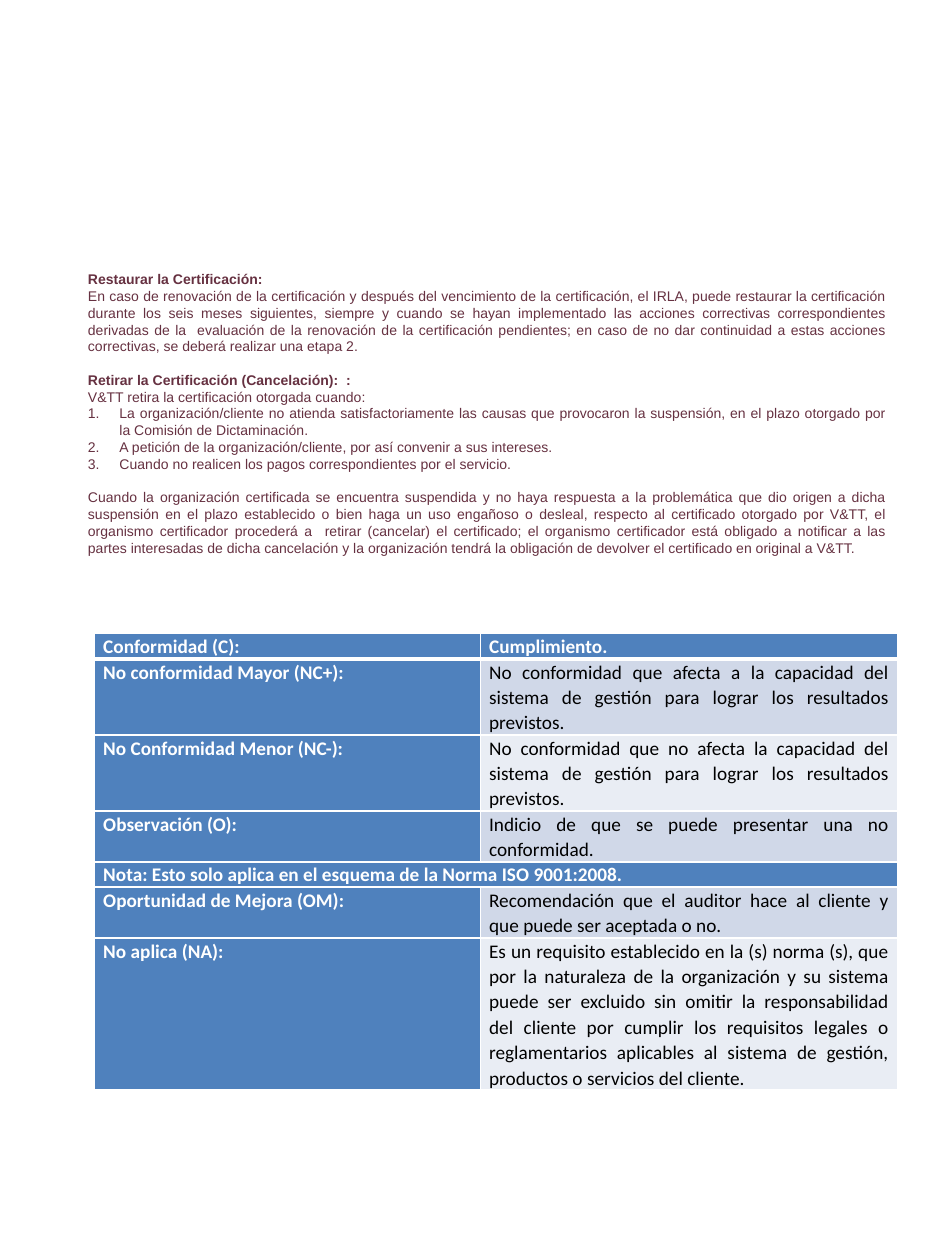
import pptx
import pptx.util
import pptx.dml.color
import pptx.enum.text
import pptx.oxml

Pt = pptx.util.Pt
JUSTIFY = pptx.enum.text.PP_ALIGN.JUSTIFY
NAMESPACE = 'xmlns:a="http://schemas.openxmlformats.org/drawingml/2006/main"'
COLORS = {"wine": "663141", "blue": "4F81BD", "band": "D0D8E8",
          "pale": "E9EDF4", "white": "FFFFFF", "black": "000000"}


def format_font(font, color, **values):
    for name, value in values.items():
        setattr(font, name, value)
    font.color.rgb = pptx.dml.color.RGBColor.from_string(COLORS[color])


def add_border(cell, side, width):
    """Draw a white line on one side (L, R, T or B) of a table cell."""
    cell._tc.get_or_add_tcPr().append(pptx.oxml.parse_xml(
        f'<a:ln{side} {NAMESPACE} w="{Pt(width)}"><a:solidFill>'
        f'<a:srgbClr val="{COLORS["white"]}"/></a:solidFill></a:ln{side}>'))


deck = pptx.Presentation()
deck.slide_width, deck.slide_height = Pt(540), Pt(720)
page = deck.slides.add_slide(deck.slide_layouts[6])

# Certification rules: (kind, starts a new section, text)
rules = [
    ("heading", False, "Restaurar la Certificación:"),
    ("body", False, "En caso de renovación de la certificación y después del vencimiento de la certificación, el IRLA, puede restaurar la certificación durante los seis meses siguientes, siempre y cuando se hayan implementado las acciones correctivas correspondientes derivadas de la  evaluación de la renovación de la certificación pendientes; en caso de no dar continuidad a estas acciones correctivas, se deberá realizar una etapa 2."),
    ("heading", True, "Retirar la Certificación (Cancelación):  :"),
    ("body", False, "V&TT retira la certificación otorgada cuando:"),
    ("item", False, "La organización/cliente no atienda satisfactoriamente las causas que provocaron la suspensión, en el plazo otorgado por la Comisión de Dictaminación."),
    ("item", False, "A petición de la organización/cliente, por así convenir a sus intereses."),
    ("item", False, "Cuando no realicen los pagos correspondientes por el servicio."),
    ("body", True, "Cuando la organización certificada se encuentra suspendida y no haya respuesta a la problemática que dio origen a dicha suspensión en el plazo establecido o bien haga un uso engañoso o desleal, respecto al certificado otorgado por V&TT, el organismo certificador procederá a  retirar (cancelar) el certificado; el organismo certificador está obligado a notificar a las partes interesadas de dicha cancelación y la organización tendrá la obligación de devolver el certificado en original a V&TT."),
]
box = page.shapes.add_textbox(Pt(43.2), Pt(151.2), Pt(470.9), Pt(211))
frame = box.text_frame
frame.word_wrap = True
for index, (kind, new_section, text) in enumerate(rules):
    para = frame.add_paragraph() if index else frame.paragraphs[0]
    para.text = text
    para.alignment = JUSTIFY
    if new_section:
        para.space_before = Pt(9.6)
    if kind == "item":
        properties = para._p.get_or_add_pPr()
        properties.set("marL", str(Pt(18)))
        properties.set("indent", str(Pt(-18)))
        properties.append(pptx.oxml.parse_xml(
            f'<a:buAutoNum {NAMESPACE} type="arabicPeriod"/>'))
    format_font(para.font, "wine", name="Arial", size=Pt(8), bold=kind == "heading")

# Finding types: (lines of text, term, meaning, fill of the meaning)
findings = [
    (1, "Conformidad (C):", "Cumplimiento.", "blue"),
    (3, "No conformidad Mayor (NC+):", "No conformidad que afecta a la capacidad del sistema de gestión para lograr los resultados previstos.", "band"),
    (3, "No Conformidad Menor (NC-):", "No conformidad que no afecta la capacidad del sistema de gestión para lograr los resultados previstos.", "pale"),
    (2, "Observación (O):", "Indicio de que se puede presentar una no conformidad.", "band"),
    (1, "Nota: Esto solo aplica en el esquema de la Norma ISO 9001:2008.", None, "blue"),
    (2, "Oportunidad de Mejora (OM):", "Recomendación que el auditor hace al cliente y que puede ser aceptada o no.", "band"),
    (6, "No aplica (NA):", "Es un requisito establecido en la (s) norma (s), que por la naturaleza de la organización y su sistema puede ser excluido sin omitir la responsabilidad del cliente por cumplir los requisitos legales o reglamentarios aplicables al sistema de gestión, productos o servicios del cliente.", "pale"),
]
line_height = 14.5
table_height = line_height * sum(finding[0] for finding in findings)
table = page.shapes.add_table(
    len(findings), 2, Pt(54), Pt(362), Pt(459), Pt(table_height)).table
table.columns[0].width, table.columns[1].width = Pt(220.5), Pt(238.5)
cell_format = {"margin_left": Pt(5), "margin_right": Pt(5),
               "margin_top": Pt(0), "margin_bottom": Pt(0)}
for row, (lines, term, meaning, meaning_fill) in enumerate(findings):
    table.rows[row].height = Pt(line_height * lines)
    if meaning is None:
        table.cell(row, 0).merge(table.cell(row, 1))
    for column, (text, fill) in enumerate([(term, "blue"), (meaning, meaning_fill)]):
        cell = table.cell(row, column)
        for name, value in cell_format.items():
            setattr(cell, name, value)
        widths = {"L": 1, "R": 1, "T": 3 if row == 1 else 1, "B": 3 if row == 0 else 1}
        for side, width in widths.items():
            add_border(cell, side, width)
        cell.fill.solid()
        cell.fill.fore_color.rgb = pptx.dml.color.RGBColor.from_string(COLORS[fill])
        if text is None:
            continue
        para = cell.text_frame.paragraphs[0]
        para.alignment = JUSTIFY
        para.line_spacing = 1.07
        span = para.add_run()
        span.text = text
        on_blue = fill == "blue"
        format_font(span.font, "white" if on_blue else "black",
                    name="Calibri", size=Pt(11), bold=on_blue)

deck.save("out.pptx")
